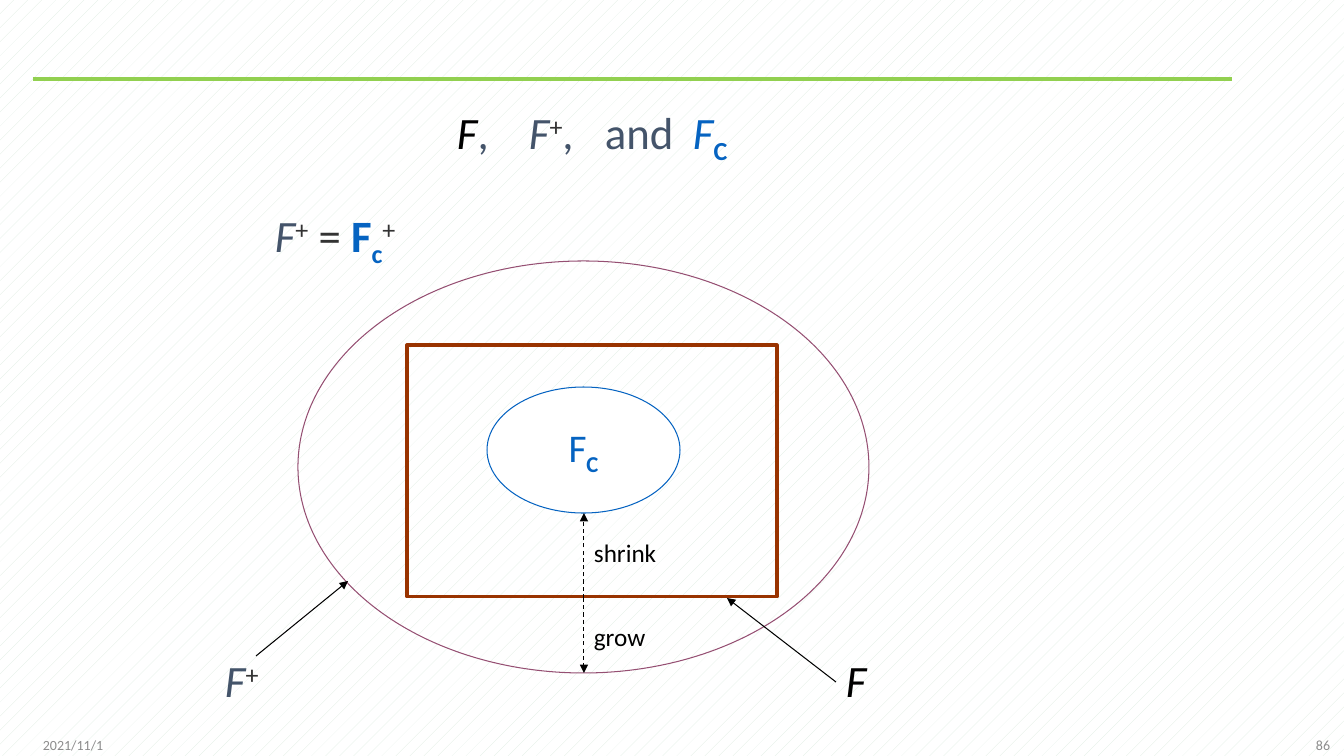
"""Build the slide that relates F, its closure F+ and its canonical cover Fc."""
from pptx import Presentation
from pptx import util as u
from pptx.dml.color import RGBColor
from pptx.enum import dml, shapes, text
from pptx.oxml.ns import qn
from lxml import etree

PX = 914400 / 100.8
FONT = "Calibri"
BLACK = RGBColor(0x00, 0x00, 0x00)
WHITE = RGBColor(0xFF, 0xFF, 0xFF)
DARK = RGBColor(0x33, 0x33, 0x33)
SLATE = RGBColor(0x44, 0x54, 0x6A)
BLUE = RGBColor(0x05, 0x63, 0xC1)
PLUM = RGBColor(0x95, 0x4F, 0x72)
RUST = RGBColor(0x99, 0x33, 0x00)
GREEN = RGBColor(0x92, 0xD0, 0x50)
GREY = RGBColor(0x8C, 0x8C, 0x8C)
MINT = RGBColor(0xDC, 0xEC, 0xE0)
SUPER, SUB = 30, -25
F_BLACK = ("F", BLACK, "i", 0)
F_SLATE = ("F", SLATE, "i", 0)
PLUS = ("+", DARK, "", SUPER)


def px(n):
    """Turn pixels into EMU."""
    return u.Emu(round(n * PX))


def paint_background(s):
    """Fill the slide with a faint dotted pattern."""
    fill = s.background.fill
    fill.patterned()
    fill.pattern = dml.MSO_PATTERN.PERCENT_5
    fill.fore_color.rgb = MINT
    fill.back_color.rgb = WHITE


def add_runs(p, runs, size):
    """Add (text, colour, style, baseline) runs to a paragraph."""
    for wording, color, style, baseline in runs:
        r = p.add_run()
        r.text = wording
        r.font.name = FONT
        r.font.size = u.Pt(size)
        r.font.color.rgb = color
        r.font.italic = "i" in style
        r.font.bold = "b" in style
        if baseline:
            r._r.get_or_add_rPr().set("baseline", str(baseline * 1000))


def add_text(s, box, runs, size, wrap=False, align=text.PP_ALIGN.LEFT,
             anchor=text.MSO_ANCHOR.TOP):
    """Add a one-paragraph text box and return its frame."""
    tf = s.shapes.add_textbox(*map(px, box)).text_frame
    tf.word_wrap = wrap
    tf.vertical_anchor = anchor
    p = tf.paragraphs[0]
    p.alignment = align
    add_runs(p, runs, size)
    return tf


def add_title(s, box, inset, stops, runs):
    """Add the heading, with its terms set on tab stops."""
    tf = add_text(s, box, [], 32, wrap=True)
    tf.margin_left = px(inset)
    p = tf.paragraphs[0]
    tabs = etree.SubElement(p._p.get_or_add_pPr(), qn("a:tabLst"))
    for stop in stops:
        etree.SubElement(tabs, qn("a:tab"), pos=str(px(stop)), algn="l")
    add_runs(p, runs, 32)


def add_outline(s, kind, box, color, width, fill=None):
    """Add an outlined set shape, hollow unless a fill is given."""
    sp = s.shapes.add_shape(kind, *map(px, box))
    sp.shadow.inherit = False
    sp.line.color.rgb = color
    sp.line.width = u.Pt(width)
    if fill is None:
        sp.fill.background()
    else:
        sp.fill.solid()
        sp.fill.fore_color.rgb = fill
    return sp


def add_line(s, start, end, color=BLACK, width=0.75, dashed=False, arrow=True):
    """Add a straight line, with an arrowhead at its end by default."""
    c = s.shapes.add_connector(shapes.MSO_CONNECTOR.STRAIGHT,
                               *map(px, start + end))
    c.line.color.rgb = color
    c.line.width = u.Pt(width)
    if dashed:
        c.line.dash_style = dml.MSO_LINE.DASH
    if arrow:
        etree.SubElement(c.line._get_or_add_ln(), qn("a:tailEnd"),
                         type="triangle")
    etree.SubElement(c._element.spPr, qn("a:effectLst"))


def add_core(s, box):
    """Add the inner ellipse that holds Fc."""
    sp = add_outline(s, shapes.MSO_SHAPE.OVAL, box, BLUE, 0.75, WHITE)
    tf = sp.text_frame
    tf.word_wrap = False
    tf.vertical_anchor = text.MSO_ANCHOR.MIDDLE
    p = tf.paragraphs[0]
    p.alignment = text.PP_ALIGN.CENTER
    add_runs(p, [("F", BLUE, "", 0), ("C", BLUE, "b", SUB)], 28)


def main():
    """Build and save the slide."""
    prs = Presentation()
    prs.slide_width, prs.slide_height = px(1344), px(756)
    s = prs.slides.add_slide(prs.slide_layouts[6])
    paint_background(s)

    add_line(s, (33, 79), (1232, 79), GREEN, 2.25, arrow=False)
    for left, wording, align in ((33, "2021/11/1", text.PP_ALIGN.LEFT),
                                 (1038, "86", text.PP_ALIGN.RIGHT)):
        add_text(s, (left, 725, 302, 40), [(wording, GREY, "", 0)], 10,
                 True, align, text.MSO_ANCHOR.MIDDLE)

    add_title(s, (202, 100, 781, 64), 255, (72, 148, 236), [
        F_BLACK, (",\t", SLATE, "", 0), F_SLATE, PLUS,
        (",\tand\t", SLATE, "", 0), ("F", BLUE, "i", 0),
        ("C", BLUE, "b", SUB)])

    add_outline(s, shapes.MSO_SHAPE.OVAL, (298, 261, 571, 412), PLUM, 0.75)
    add_core(s, (487, 387, 193, 126))
    add_outline(s, shapes.MSO_SHAPE.RECTANGLE, (407, 345, 370, 252), RUST, 2.25)

    add_line(s, (836, 682), (727, 598))
    add_line(s, (256, 656), (348, 581))
    add_text(s, (836, 648, 41, 64), [F_BLACK], 32)
    add_text(s, (215, 648, 56, 64), [F_SLATE, PLUS], 32)
    add_text(s, (265, 203, 147, 64), [
        F_SLATE, PLUS, (" = ", DARK, "", 0), ("F", BLUE, "b", 0),
        ("c", BLUE, "b", SUB), PLUS], 32)

    for end, top, width, wording in ((673, 616, 72, "grow"),
                                     (513, 532, 83, "shrink")):
        add_line(s, (584, 598), (584, end), dashed=True)
        add_text(s, (584, top, width, 40), [(wording, BLACK, "", 0)], 18)

    prs.save("out.pptx")


if __name__ == "__main__":
    main()
